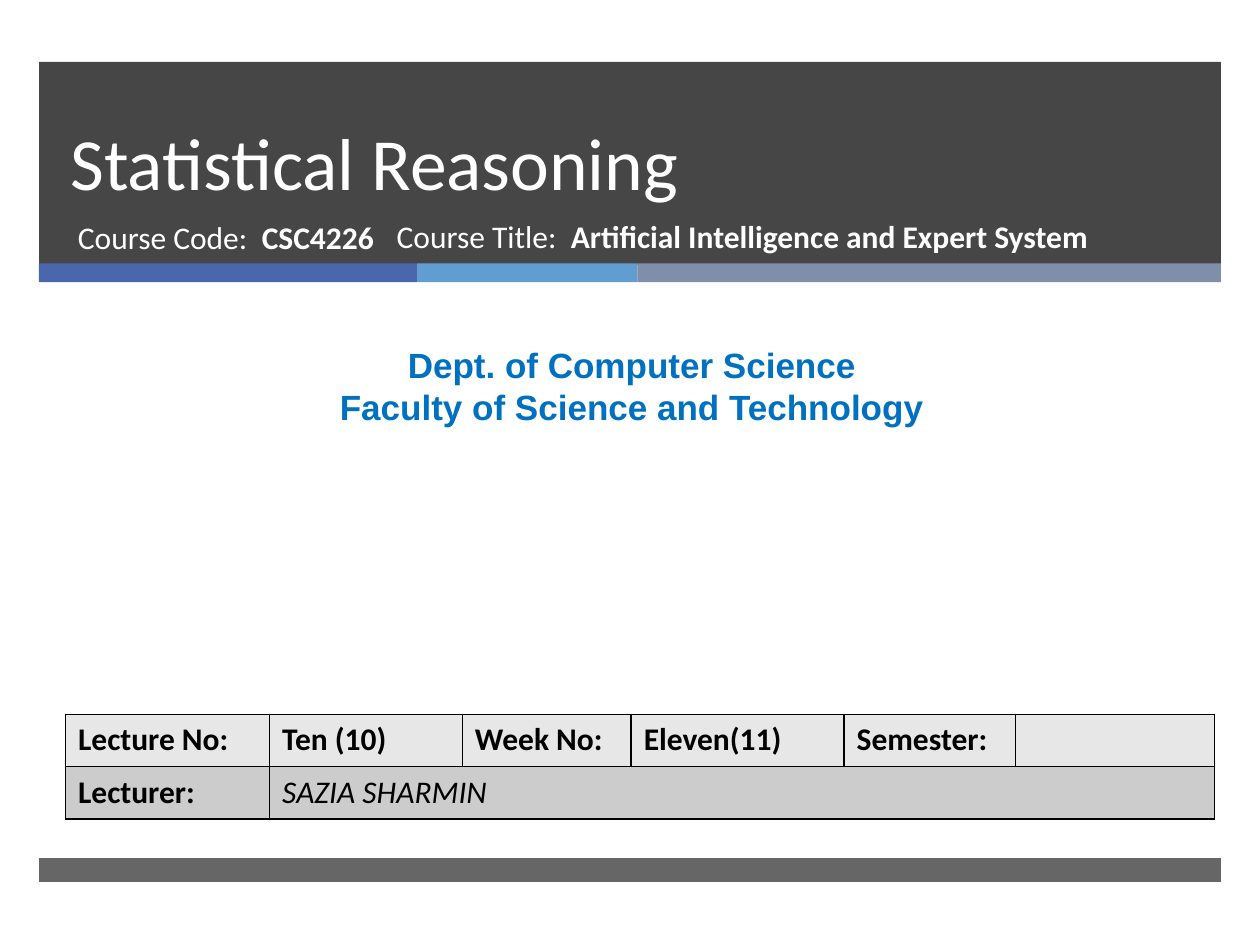
from lxml import etree
from pptx import Presentation
from pptx.dml.color import RGBColor
from pptx.enum.shapes import MSO_SHAPE
from pptx.enum.text import MSO_ANCHOR, PP_ALIGN
from pptx.oxml.ns import qn
from pptx.util import Inches, Pt

RECTANGLE = MSO_SHAPE.RECTANGLE
TOP, BOTTOM = MSO_ANCHOR.TOP, MSO_ANCHOR.BOTTOM
LEFT, CENTER = PP_ALIGN.LEFT, PP_ALIGN.CENTER

WHITE = RGBColor(0xFF, 0xFF, 0xFF)
BLACK = RGBColor(0x00, 0x00, 0x00)
CHARCOAL = RGBColor(0x26, 0x26, 0x26)
INDIGO = RGBColor(0x4A, 0x66, 0xAC)
SKY = RGBColor(0x62, 0x9D, 0xD1)
SLATE = RGBColor(0x7F, 0x8F, 0xA9)
DEPT_BLUE = RGBColor(0x00, 0x70, 0xC0)
LIGHT_GRAY = RGBColor(0xE7, 0xE7, 0xE7)
MID_GRAY = RGBColor(0xCC, 0xCC, 0xCC)

# Page frame, in inches
MARGIN = 0.31
BAND_WIDTH = 10 - 2 * MARGIN
STRIPES = [(3, INDIGO), (1.75, SKY), (4.63, SLATE)]

LECTURE_COLUMNS = [1.62, 1.53, 1.34, 1.69, 1.36, 1.58]
LECTURE_ROW = 0.415
LECTURE_DETAILS = ["Lecture No:", "Ten (10)", "Week No:", "Eleven(11)", "Semester:", ""]


def add_band(slide, left, top, width, height, color, opacity=100):
    band = slide.shapes.add_shape(
        RECTANGLE, Inches(left), Inches(top), Inches(width), Inches(height))
    band.shadow.inherit = False
    band.fill.solid()
    band.fill.fore_color.rgb = color
    band.line.fill.background()
    if opacity < 100:
        solid_color = band.fill._xPr.find(qn("a:solidFill"))[0]
        etree.SubElement(solid_color, qn("a:alpha"), val=str(opacity * 1000))


def style_font(font, size, color, name="Calibri", bold=None, italic=None):
    font.size, font.name = Pt(size), name
    font.bold, font.italic = bold, italic
    font.color.rgb = color


def add_text(slide, left, top, width, height, lines, size, color,
             name="Calibri", bold=None, align=LEFT, anchor=TOP, spacing=None):
    """Each line is a list of (text, bold) runs."""
    box = slide.shapes.add_textbox(
        Inches(left), Inches(top), Inches(width), Inches(height))
    frame = box.text_frame
    frame.word_wrap = True
    frame.vertical_anchor = anchor
    for index, runs in enumerate(lines):
        paragraph = frame.add_paragraph() if index else frame.paragraphs[0]
        paragraph.alignment = align
        paragraph.line_spacing = spacing
        style_font(paragraph.font, size, color, name, bold)
        for text, run_bold in runs:
            run = paragraph.add_run()
            run.text = text
            run.font.bold = run_bold


def add_borders(cell, color, width):
    properties = cell._tc.get_or_add_tcPr()
    for position, side in enumerate(("a:lnL", "a:lnR", "a:lnT", "a:lnB")):
        border = etree.Element(qn(side), w=str(Pt(width)))
        fill = etree.SubElement(border, qn("a:solidFill"))
        etree.SubElement(fill, qn("a:srgbClr"), val=str(color))
        properties.insert(position, border)


def fill_cell(cell, text, color, bold=True, italic=None):
    cell.text = text
    style_font(cell.text_frame.paragraphs[0].font, 18, BLACK,
               bold=bold, italic=italic)
    cell.fill.solid()
    cell.fill.fore_color.rgb = color
    add_borders(cell, BLACK, 1)


def add_lecture_table(slide):
    table = slide.shapes.add_table(
        2, len(LECTURE_COLUMNS), Inches(0.52), Inches(5.67),
        Inches(sum(LECTURE_COLUMNS)), Inches(2 * LECTURE_ROW)).table
    for column, width in zip(table.columns, LECTURE_COLUMNS):
        column.width = Inches(width)
    for row in table.rows:
        row.height = Inches(LECTURE_ROW)
    table.cell(1, 1).merge(table.cell(1, len(LECTURE_COLUMNS) - 1))
    for column, detail in enumerate(LECTURE_DETAILS):
        fill_cell(table.cell(0, column), detail, LIGHT_GRAY)
        if column > 1:
            fill_cell(table.cell(1, column), "", MID_GRAY)
    fill_cell(table.cell(1, 0), "Lecturer:", MID_GRAY)
    fill_cell(table.cell(1, 1), "SAZIA SHARMIN", MID_GRAY, bold=False, italic=True)


def main():
    deck = Presentation()
    deck.slide_width, deck.slide_height = Inches(10), Inches(7.5)
    slide = deck.slides.add_slide(deck.slide_layouts[6])

    # Header band, coloured stripes and footer band
    add_band(slide, MARGIN, 0.49, BAND_WIDTH, 1.61, CHARCOAL, 85)
    stripe_left = MARGIN
    for width, color in STRIPES:
        add_band(slide, stripe_left, 2.09, width, 0.15, color)
        stripe_left += width
    add_band(slide, MARGIN, 6.81, BAND_WIDTH, 0.19, CHARCOAL, 70)

    # Title and course line
    add_text(slide, 0.46, 0.49, 8.54, 1.19, [[("Statistical Reasoning", None)]],
             42, WHITE, anchor=BOTTOM, spacing=Pt(46))
    add_text(slide, 0.52, 1.68, 3.05, 0.53,
             [[("Course Code:  ", None), ("CSC4226", True)]], 18, WHITE)
    add_text(slide, 3.05, 1.67, 5.72, 0.53,
             [[("Course Title:  ", None),
               ("Artificial Intelligence and Expert System", True)]], 18, WHITE)

    # Department
    add_text(slide, 0.08, 2.68, 9.87, 0.77,
             [[("Dept. of Computer Science", None)],
              [("Faculty of Science and Technology", None)]],
             20, DEPT_BLUE, name="Arial", bold=True, align=CENTER)

    # Lecture details
    add_lecture_table(slide)

    deck.save("out.pptx")


if __name__ == "__main__":
    main()
